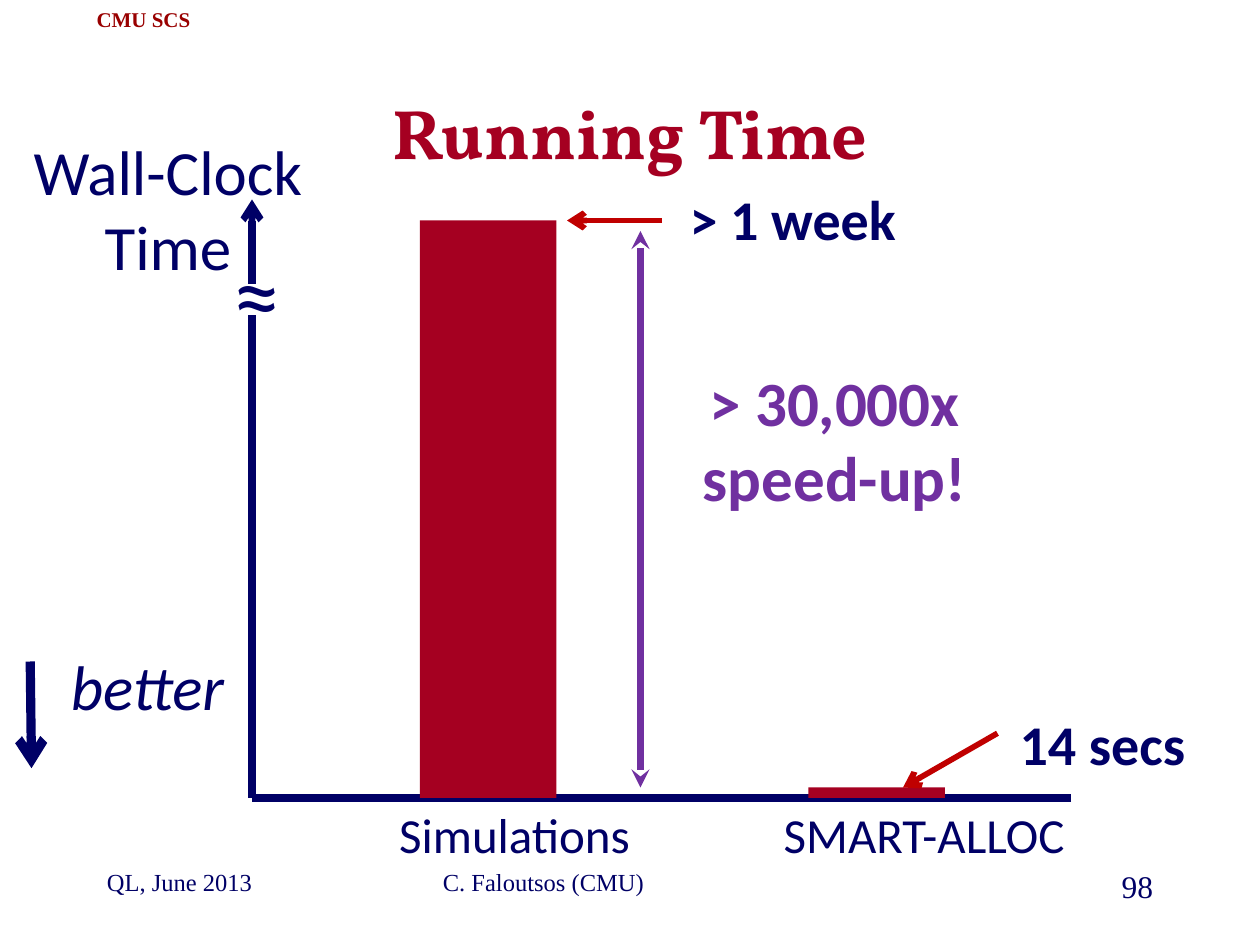
from lxml import etree
from pptx import Presentation
from pptx.dml.color import RGBColor
from pptx.enum.shapes import MSO_CONNECTOR, MSO_SHAPE
from pptx.enum.text import MSO_ANCHOR, PP_ALIGN
from pptx.oxml.ns import qn
from pptx.util import Pt

STRAIGHT = MSO_CONNECTOR.STRAIGHT
RECTANGLE = MSO_SHAPE.RECTANGLE
MIDDLE = MSO_ANCHOR.MIDDLE
LEFT, CENTER, RIGHT = PP_ALIGN.LEFT, PP_ALIGN.CENTER, PP_ALIGN.RIGHT
COLORS = {"navy": "000066", "crimson": "A50021", "maroon": "990000",
          "red": "C00000", "purple": "7030A0"}
SANS, SERIF, DISPLAY = "Calibri", "Times New Roman", "Vollkorn"


def rgb(name):
    """Return the named palette colour."""
    return RGBColor.from_string(COLORS[name])


def style(para, size, color="navy", face=SANS, align=CENTER, bold=False, italic=False):
    """Set the alignment and font of a paragraph."""
    para.alignment = align
    font = para.font
    font.size, font.name, font.bold, font.italic = Pt(size), face, bold, italic
    font.color.rgb = rgb(color)


def add_label(page, box, text, size, wrap=True, **look):
    """Add a text box holding one styled paragraph."""
    label = page.shapes.add_textbox(*map(Pt, box))
    frame = label.text_frame
    frame.word_wrap = wrap
    frame.text = text
    style(frame.paragraphs[0], size, **look)
    return label


def add_line(page, start, end, width, color="navy", head=None, tail=None):
    """Add a straight line with optional arrowheads at its start and end."""
    line = page.shapes.add_connector(STRAIGHT, *map(Pt, (*start, *end)))
    line.line.width = Pt(width)
    line.line.color.rgb = rgb(color)
    outline = line.line._get_or_add_ln()
    for tag, kind in (("a:headEnd", head), ("a:tailEnd", tail)):
        if kind:
            etree.SubElement(outline, qn(tag), type=kind)
    etree.SubElement(line._element.spPr, qn("a:effectLst"))


def add_bar(page, left, base, height):
    """Add one bar standing on the base line."""
    bar = page.shapes.add_shape(RECTANGLE, Pt(left), Pt(base - height), Pt(78), Pt(height))
    bar.shadow.inherit = False
    bar.fill.solid()
    bar.fill.fore_color.rgb = rgb("crimson")
    bar.line.fill.background()


def add_heading(page, box):
    """Place the slide title."""
    title = page.shapes.title
    title.left, title.top, title.width, title.height = map(Pt, box)
    title.text_frame.text = "Running Time"
    title.text_frame.vertical_anchor = MIDDLE
    style(title.text_frame.paragraphs[0], 40, "crimson", DISPLAY, bold=True)


def add_axes(page, box):
    """Draw the broken time axis, the base line and the axis title."""
    left, top, width, height = box
    base = top + height
    add_label(page, (left - 138, top - 54, 180, 94), "Wall-Clock Time", 36)
    add_line(page, (left, top + 54), (left, base), 4.25)
    add_line(page, (left + width, base), (left, base), 4.25)
    add_line(page, (left, top + 36), (left, top), 4.25)
    add_line(page, (left, top + 36), (left, top - 12), 3.75, tail="arrow")
    add_label(page, (left - 18, top + 5, 42, 73), "≈", 54)


def add_bars(page, box):
    """Draw both bars with their category names below the base line."""
    left, top, width, height = box
    base = top + height
    bars = (("Simulations", 96, 48, height), ("SMART-ALLOC", 318, 282, 6))
    for name, bar_offset, name_offset, bar_height in bars:
        add_bar(page, left + bar_offset, base, bar_height)
        add_label(page, (left + name_offset, base, 204, 41), name, 28)


def add_callouts(page, box):
    """Point out both run times and the speed-up between them."""
    left, top, width, height = box
    base = top + height
    add_line(page, (left + 234, top), (left + 180, top), 3.25, "red", tail="arrow")
    add_label(page, (left + 234, top - 24, 150, 46), "> 1 week", 32, bold=True)
    add_line(page, (left + 426, base - 37), (left + 372, base - 6), 3.25, "red", tail="arrow")
    add_label(page, (left + 426, base - 54, 120, 46), "14 secs", 32, bold=True)
    add_line(page, (left + 222, top + 6), (left + 222, base - 6), 3.5, "purple",
             head="stealth", tail="stealth")
    add_label(page, (left + 240, top + 78, 186, 94), "> 30,000x speed-up!", 36,
              color="purple", bold=True)


def add_direction(page, box):
    """Show that lower is better."""
    left, top, width, height = box
    add_line(page, (left, top), (left + 0.72, top + height), 5.25, tail="arrow")
    add_label(page, (left + 13, top - 11.5, width - 13, 51), "better", 36, italic=True)


def add_footer(page, box):
    """Place the date, the author and the page number."""
    left, top, width, height = box
    add_label(page, (left, top, 150, height), "QL, June 2013", 14, face=SERIF, align=LEFT)
    add_label(page, (left + 192, top, 228, height), "C. Faloutsos (CMU)", 14,
              face=SERIF, align=LEFT)
    add_label(page, (left + width - 150, top, 150, height), "98", 18,
              face=SERIF, align=RIGHT)


def main():
    """Build and save the slide."""
    deck = Presentation()
    deck.slide_width, deck.slide_height = Pt(720), Pt(540)
    page = deck.slides.add_slide(deck.slide_layouts[5])
    chart_box = (144, 126, 468, 330)
    header = add_label(page, (48, 0, 68, 22), "CMU SCS", 12, wrap=False,
                       color="maroon", face=SERIF, bold=True)
    header.text_frame.vertical_anchor = MIDDLE
    add_heading(page, (54, 48, 612, 54))
    add_axes(page, chart_box)
    add_bars(page, chart_box)
    add_callouts(page, chart_box)
    add_direction(page, (17.28, 378, 121, 61))
    add_footer(page, (54, 492, 612, 36))
    deck.save("out.pptx")


if __name__ == "__main__":
    main()
